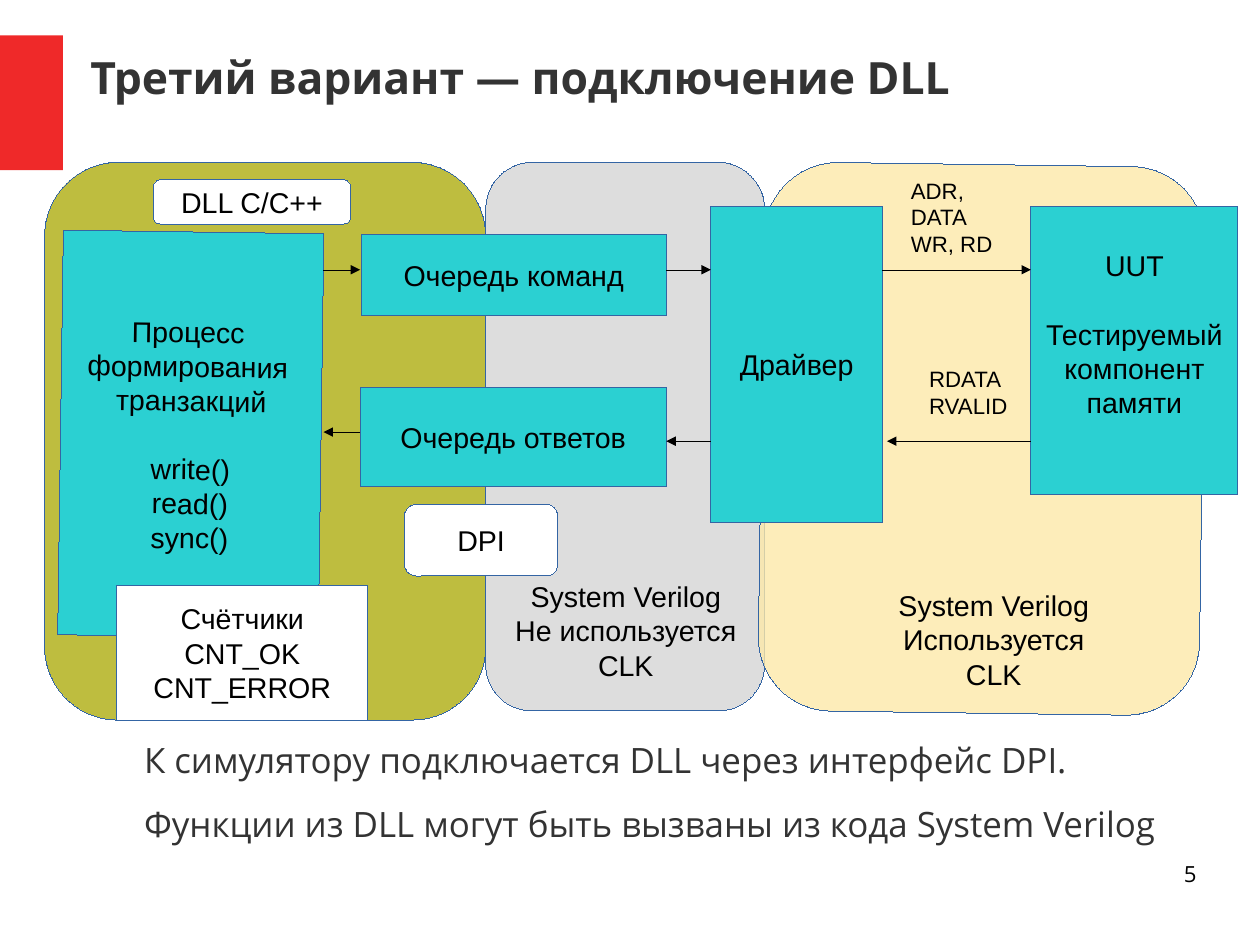
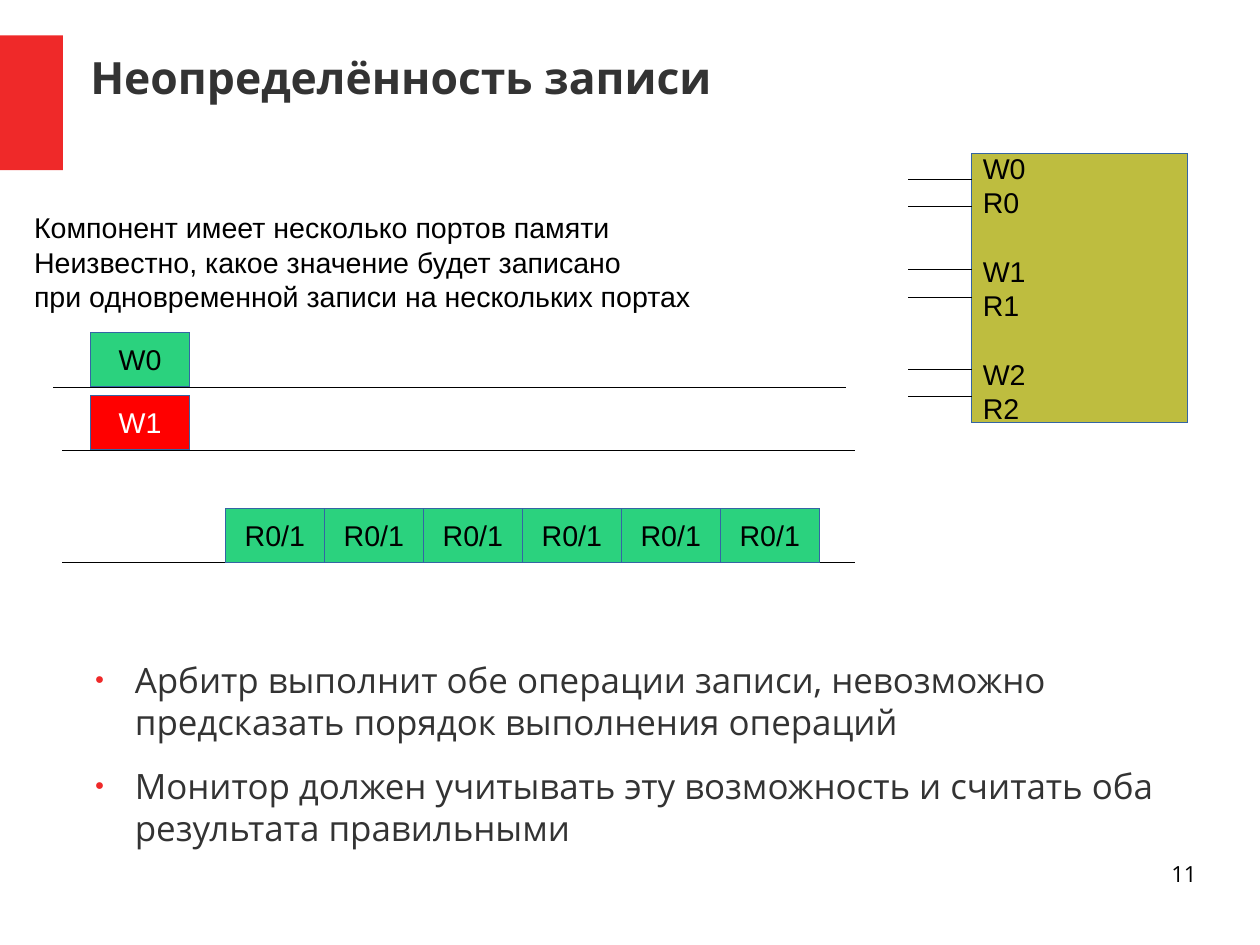
from dataclasses import dataclass
from typing import Any

from lxml.etree import SubElement
from pptx import Presentation
from pptx.dml.color import RGBColor
from pptx.enum.shapes import MSO_CONNECTOR, MSO_SHAPE
from pptx.enum.text import MSO_ANCHOR, PP_ALIGN
from pptx.oxml.ns import qn
from pptx.util import Cm, Inches, Pt

RED_BAND = RGBColor(0xEF, 0x29, 0x29)
OLIVE = RGBColor(0xBE, 0xBD, 0x3F)
GREY = RGBColor(0xDD, 0xDD, 0xDD)
CREAM = RGBColor(0xFD, 0xE9, 0xA9)
TURQUOISE = RGBColor(0x2B, 0xD0, 0xD2)
GREEN = RGBColor(0x2B, 0xD2, 0x7E)
RED = RGBColor(0xFF, 0x00, 0x00)
WHITE = RGBColor(0xFF, 0xFF, 0xFF)
BLACK = RGBColor(0x00, 0x00, 0x00)
OUTLINE = RGBColor(0x34, 0x65, 0xA4)
DARK_GREY = RGBColor(0x33, 0x33, 0x33)

DIAGRAM_FONT = "Arial"
TEXT_FONT = "Open Sans"
EMPTY_LINE = Pt(21.6)
CORNER = 0.167


def style_font(font, name, size, color, bold=False):
    font.name = name
    font.size = Pt(size)
    font.color.rgb = color
    font.bold = bold


def draw_hairline(line, color):
    line.color.rgb = color
    outline = line._get_or_add_ln()
    outline.set("w", "0")
    return outline


def clear_margins(frame):
    frame.margin_left = frame.margin_right = 0
    frame.margin_top = frame.margin_bottom = 0


def add_paragraphs(frame, texts):
    for index, text in enumerate(texts):
        para = frame.paragraphs[0] if index == 0 else frame.add_paragraph()
        para.text = text
        yield para


def write_lines(frame, text, size, color, align, anchor):
    frame.word_wrap = align == PP_ALIGN.LEFT
    frame.vertical_anchor = anchor
    groups = [group.split("\n") for group in text.split("\n\n")]
    group_starts = {sum(map(len, groups[:index])) for index in range(1, len(groups))}
    lines = [line for group in groups for line in group]
    for index, para in enumerate(add_paragraphs(frame, lines)):
        para.alignment = align
        style_font(para.font, DIAGRAM_FONT, size, color)
        if index in group_starts:
            para.space_before = EMPTY_LINE


@dataclass
class Area:
    page: Any
    left: float
    top: float

    def place(self, left, top, width, height):
        return (Inches(self.left + left), Inches(self.top + top),
                Inches(width), Inches(height))

    def block(self, box, fill, text="", color=BLACK, align=PP_ALIGN.CENTER,
              rounded=False, rotation=0):
        kind = MSO_SHAPE.ROUNDED_RECTANGLE if rounded else MSO_SHAPE.RECTANGLE
        shape = self.page.shapes.add_shape(kind, *self.place(*box))
        if rounded:
            shape.adjustments[0] = CORNER
        shape.rotation = rotation
        shape.shadow.inherit = False
        if fill is None:
            shape.fill.background()
            shape.line.fill.background()
        else:
            shape.fill.solid()
            shape.fill.fore_color.rgb = fill
            draw_hairline(shape.line, OUTLINE)
        if text:
            write_lines(shape.text_frame, text, 18, color, align, MSO_ANCHOR.MIDDLE)
        return shape

    def label(self, box, text, size=18):
        shape = self.page.shapes.add_textbox(*self.place(*box))
        write_lines(shape.text_frame, text, size, BLACK, PP_ALIGN.LEFT, MSO_ANCHOR.TOP)

    def line(self, start, end, height, arrow=False):
        connector = self.page.shapes.add_connector(
            MSO_CONNECTOR.STRAIGHT,
            Inches(self.left + start), Inches(self.top + height),
            Inches(self.left + end), Inches(self.top + height))
        outline = draw_hairline(connector.line, BLACK)
        if arrow:
            SubElement(outline, qn("a:tailEnd"), type="triangle")
        SubElement(connector._element.spPr, qn("a:effectLst"))


def add_page(deck, title, number):
    page = deck.slides.add_slide(deck.slide_layouts[5])
    frame_area = Area(page, 0, 0)
    band = frame_area.block((0, 0.31, 0.55, 1.18), RED_BAND)
    band.line.fill.background()

    heading = page.shapes.title
    heading.left, heading.top, heading.width, heading.height = frame_area.place(
        0.79, 0.33, 9.68, 0.69)
    heading.text = title
    clear_margins(heading.text_frame)
    heading.text_frame.vertical_anchor = MSO_ANCHOR.MIDDLE
    para = heading.text_frame.paragraphs[0]
    para.alignment = PP_ALIGN.LEFT
    style_font(para.font, TEXT_FONT, 28, DARK_GREY, bold=True)

    number_box = page.shapes.add_textbox(*frame_area.place(7.9, 7.53, 2.57, 0.57))
    number_box.text_frame.word_wrap = True
    clear_margins(number_box.text_frame)
    para = number_box.text_frame.paragraphs[0]
    para.text = str(number)
    para.alignment = PP_ALIGN.RIGHT
    style_font(para.font, TEXT_FONT, 14, BLACK)
    return page


def add_bullet(properties):
    properties.set("indent", str(-Inches(0.35)))
    color = SubElement(properties, qn("a:buClr"))
    SubElement(color, qn("a:srgbClr"), val=str(RED_BAND))
    SubElement(properties, qn("a:buSzPct"), val="45000")
    SubElement(properties, qn("a:buFont"), typeface=DIAGRAM_FONT)
    SubElement(properties, qn("a:buChar"), char="●")


def add_body(area, width, height, texts, bulleted=False):
    body = area.page.shapes.add_textbox(*area.place(0, 0, width, height))
    frame = body.text_frame
    frame.word_wrap = True
    clear_margins(frame)
    for para in add_paragraphs(frame, texts):
        style_font(para.font, TEXT_FONT, 22, DARK_GREY)
        para.space_after = Pt(14.1)
        properties = para._p.get_or_add_pPr()
        properties.set("marL", str(Inches(0.47)))
        if bulleted:
            add_bullet(properties)


def add_dll_diagram(area):
    area.block((0, 0, 3.86, 4.88), OLIVE, rounded=True)
    area.block((3.86, 0, 2.44, 4.8), GREY, rounded=True)
    clocked = area.block((6.27, 0.02, 3.86, 4.8), CREAM, rounded=True, rotation=0.8)
    fill_color = clocked._element.spPr.find(qn("a:solidFill"))[0]
    SubElement(fill_color, qn("a:alpha"), val="80000")

    area.block((2.77, 0.63, 2.67, 0.71), TURQUOISE, "Очередь команд")
    area.block((2.76, 1.97, 2.68, 0.87), TURQUOISE, "Очередь ответов")
    area.block((5.83, 0.39, 1.5, 2.76), TURQUOISE, "Драйвер")
    tested_unit = area.block((8.63, 0.39, 1.81, 2.52), TURQUOISE,
                             "UUT\n\nТестируемый\nкомпонент\nпамяти")
    tested_unit.text_frame.margin_bottom = Inches(0.05) + EMPTY_LINE
    area.block((0.14, 0.61, 2.28, 3.54), TURQUOISE,
               "Процесс \nформирования \nтранзакций\n\nwrite()\nread()\nsync()",
               rotation=0.8)
    area.block((0.63, 3.7, 2.2, 1.18), WHITE, "Счётчики\nCNT_OK\nCNT_ERROR")
    area.block((3.15, 2.99, 1.34, 0.63), WHITE, "DPI", rounded=True)
    area.block((0.95, 0.15, 1.73, 0.39), WHITE, "DLL C/C++", rounded=True)

    area.label((7.48, 0.08, 1.02, 0.75), "ADR,\nDATA\nWR, RD", size=14)
    area.label((7.64, 1.73, 1.02, 0.54), "RDATA\nRVALID", size=14)
    for left, top, usage in ((4.3, 3.7, "Не используется"), (7.52, 3.78, "Используется")):
        area.block((left, top, 1.57, 0.79), None, f"System Verilog\n{usage}\nCLK")

    for start, end, height in ((2.44, 2.76, 0.94), (5.44, 5.83, 0.94), (7.33, 8.63, 0.94),
                               (8.63, 7.37, 2.44), (5.83, 5.44, 2.44), (2.76, 2.44, 2.36)):
        area.line(start, end, height, arrow=True)


def add_memory_ports(area):
    area.block((0.55, 0, 1.89, 2.36), OLIVE, "W0\nR0\n\nW1\nR1\n\nW2\nR2",
               align=PP_ALIGN.LEFT)
    for write_port in (0.23, 1.02, 1.89):
        for height in (write_port, write_port + 0.24):
            area.line(0.55, 0, height)


def add_timelines(area):
    cell_width, cell_height = 0.87, 0.47
    for start, height in ((0, 0.48), (0.08, 1.03), (0.08, 2.01)):
        area.line(start, start + 6.93, height)
    area.block((0.32, 0, cell_width, cell_height), GREEN, "W0")
    area.block((0.32, 0.55, cell_width, cell_height), RED, "W1", color=WHITE)
    for index in range(6):
        area.block((1.5 + index * 4.33 / 5, 1.54, cell_width, cell_height), GREEN, "R0/1")


def build_dll_page(deck):
    page = add_page(deck, "Третий вариант — подключение DLL", 5)
    add_dll_diagram(Area(page, 0.39, 1.42))
    add_body(Area(page, 0.79, 6.46), 9.45, 1.53, [
        "К симулятору подключается DLL через интерфейс DPI.",
        "Функции из DLL могут быть вызваны из кода System Verilog",
    ])


def build_write_page(deck):
    page = add_page(deck, "Неопределённость записи", 11)
    add_memory_ports(Area(page, 7.95, 1.34))
    Area(page, 0.2, 1.79).label(
        (0, 0, 6.2, 0.94),
        "Компонент имеет несколько портов памяти\n"
        "Неизвестно, какое значение будет записано\n"
        "при одновременной записи на нескольких портах")
    add_timelines(Area(page, 0.47, 2.91))
    add_body(Area(page, 0.71, 5.76), 9.45, 1.7, [
        "Арбитр выполнит обе операции записи, невозможно предсказать порядок выполнения операций",
        "Монитор должен учитывать эту возможность и считать оба результата правильными",
    ], bulleted=True)


def main():
    deck = Presentation()
    deck.slide_width = Cm(28)
    deck.slide_height = Cm(21)
    build_dll_page(deck)
    build_write_page(deck)
    deck.save("out.pptx")


if __name__ == "__main__":
    main()
